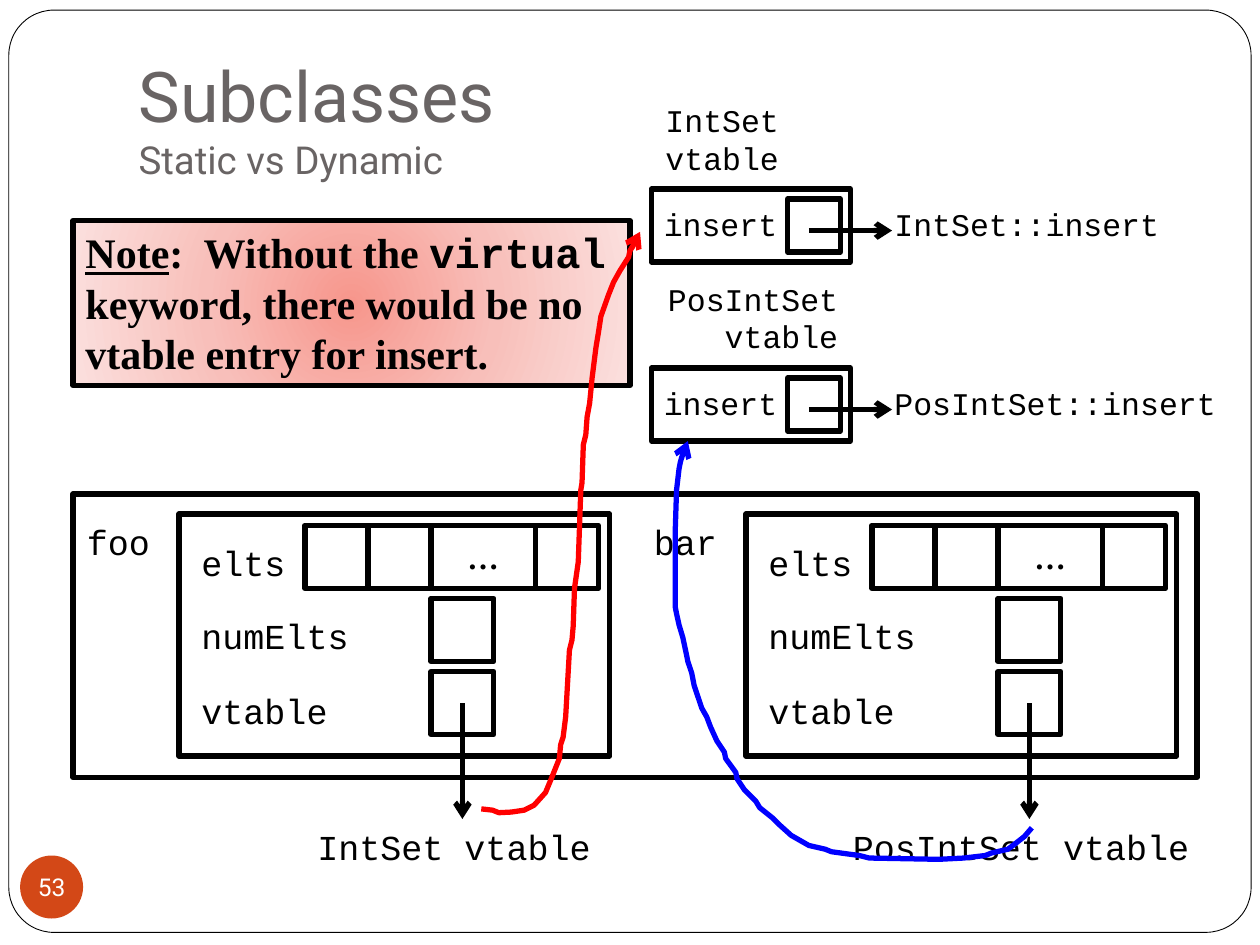
import pptx
import pptx.util
import pptx.dml.color
import pptx.enum.shapes
import pptx.enum.text
import pptx.oxml
import pptx.oxml.ns
import lxml.etree

Inches = pptx.util.Inches
KIND = pptx.enum.shapes.MSO_SHAPE
ALIGN = pptx.enum.text.PP_ALIGN
ANCHOR = pptx.enum.text.MSO_ANCHOR
SIZE = pptx.enum.text.MSO_AUTO_SIZE
qn = pptx.oxml.ns.qn
MONO, SERIF, SANS = "Courier New", "Times New Roman", "Roboto"

# object: name, left shift, table label, label left, label width
OBJECTS = [("foo", 0, "IntSet vtable", 2.42, 2.42),
           ("bar", 4.5, "PosIntSet vtable", 6.67, 2.92)]
FIELDS = [("elts", 4.25, 0.88), ("numElts", 4.83, 1.38), ("vtable", 5.42, 1.21)]
# table: class, top, title width, title wraps, target width
TABLES = [("IntSet", 1.5, 1.11, False, 2.42),
          ("PosIntSet", 2.92, 1.58, True, 2.75)]
NOTE = [("Note", SERIF), (":  Without the ", SERIF), ("virtual", MONO),
        (" keyword, there would be no vtable entry for insert.", SERIF)]
STOPS = [(0, "F7968C"), (50, "F8BFBA"), (100, "FBE0DE")]
CURVES = [
    ("FF0000", [
        (3.82, 6.42), (3.91, 6.43), (3.96, 6.45), (4.06, 6.445), (4.16, 6.43),
        (4.24, 6.39), (4.33, 6.29), (4.38, 6.17), (4.44, 6.02), (4.45, 5.91),
        (4.47, 5.85), (4.49, 5.69), (4.52, 5.16), (4.54, 5.08), (4.55, 4.97),
        (4.56, 4.67), (4.59, 4.46), (4.61, 3.89), (4.62, 3.83), (4.63, 3.53),
        (4.65, 3.45), (4.66, 3.31), (4.68, 3.2), (4.7, 3), (4.72, 2.84),
        (4.73, 2.76), (4.75, 2.64), (4.77, 2.51), (4.83, 2.34), (4.87, 2.24),
        (4.92, 2.15), (4.99, 2.04), (5, 1.99), (5.06, 1.9), (5.08, 1.84)]),
    ("0000FF", [
        (8.19, 6.57), (8.13, 6.64), (8.04, 6.71), (8, 6.74), (7.87, 6.77),
        (7.82, 6.79), (7.65, 6.81), (7.45, 6.82), (6.9, 6.81), (6.82, 6.79),
        (6.6, 6.76), (6.55, 6.74), (6.42, 6.71), (6.28, 6.63), (6.18, 6.54),
        (6.13, 6.49), (6.03, 6.41), (6, 6.36), (5.91, 6.27), (5.85, 6.18),
        (5.84, 6.13), (5.76, 6.02), (5.75, 5.97), (5.69, 5.88), (5.64, 5.77),
        (5.61, 5.69), (5.57, 5.62), (5.51, 5.44), (5.49, 5.34), (5.46, 5.25),
        (5.45, 5.2), (5.42, 5.06), (5.39, 4.96), (5.37, 4.87), (5.36, 4.82),
        (5.36, 4.2), (5.37, 3.89), (5.39, 3.72), (5.4, 3.67), (5.43, 3.56),
        (5.46, 3.5)]),
]

deck = pptx.Presentation()
deck.slide_width, deck.slide_height = Inches(10), Inches(7.5)
slide = deck.slides.add_slide(deck.slide_layouts[5])
shapes = slide.shapes


def rgb(code):
    """Turn a hex string into a colour."""
    return pptx.dml.color.RGBColor.from_string(code)


def style(run, size, font=MONO, color="000000", bold=None):
    """Format one run."""
    run.font.size = pptx.util.Pt(size)
    run.font.name = font
    run.font.color.rgb = rgb(color)
    run.font.bold = bold


def box(x, y, w, h, kind=KIND.RECTANGLE, fill=None, line="000000", width=3):
    """Add a preset shape."""
    shape = shapes.add_shape(kind, *map(Inches, (x, y, w, h)))
    shape.shadow.inherit = False
    if fill:
        shape.fill.solid()
        shape.fill.fore_color.rgb = rgb(fill)
    else:
        shape.fill.background()
    if line:
        shape.line.color.rgb = rgb(line)
        shape.line.width = pptx.util.Pt(width)
    else:
        shape.line.fill.background()
    return shape


def fill_text(shape, text, size, font, color, bold=None):
    """Put one centred line in a shape."""
    frame = shape.text_frame
    frame.text = text
    frame.vertical_anchor = ANCHOR.MIDDLE
    frame.paragraphs[0].alignment = ALIGN.CENTER
    style(frame.paragraphs[0].runs[0], size, font, color, bold)


def label(text, x, y, w, h=0.44, size=20, wrap=False, align=ALIGN.LEFT):
    """Add a code label."""
    frame = shapes.add_textbox(*map(Inches, (x, y, w, h))).text_frame
    frame.word_wrap = wrap
    frame.auto_size = SIZE.SHAPE_TO_FIT_TEXT
    frame.text = text
    for para in frame.paragraphs:
        para.alignment = align
        style(para.runs[0], size)


def add_head(shape, color="000000"):
    """Give a line its colour, width and arrowhead."""
    shape.line.color.rgb = rgb(color)
    shape.line.width = pptx.util.Pt(3)
    lxml.etree.SubElement(shape.line._get_or_add_ln(), qn("a:tailEnd"), type="arrow")


def arrow(x1, y1, x2, y2):
    """Add a straight arrow."""
    line = shapes.add_connector(pptx.enum.shapes.MSO_CONNECTOR.STRAIGHT,
                                *map(Inches, (x1, y1, x2, y2)))
    add_head(line)
    lxml.etree.SubElement(line._element.spPr, qn("a:effectLst"))


def draw_object(name, dx, table, left, width):
    """Draw an object with its fields and its table pointer."""
    box(1.42 + dx, 4.08, 3.42, 1.92)
    for y in (5.33, 4.75):
        box(3.42 + dx, y, 0.5, 0.5)
    for x in (2.42, 2.92, 4.25):
        box(x + dx, 4.17, 0.5, 0.5)
    dots = box(3.42 + dx, 4.17, 0.83, 0.5)
    fill_text(dots, "…", 18, SERIF, "000000", True)
    for field, y, w in FIELDS:
        label(field, 1.5 + dx, y, w)
    label(name, 0.58 + dx, 4.08, 0.71, align=ALIGN.RIGHT)
    label(table, left, 6.5, width, wrap=True)
    arrow(3.67 + dx, 5.58, 3.67 + dx, 6.5)


def draw_table(name, y, width, wrap, reach):
    """Draw a class table with its insert entry."""
    box(5.17, y, 1.58, 0.58)
    box(6.25, y + 0.08, 0.42, 0.42)
    label("insert", 5.17, y + 0.08, 1.17, 0.4, 18, True)
    label(name + "::insert", 7, y + 0.08, reach, 0.4, 18, True)
    arrow(6.42, y + 0.33, 7.08, y + 0.33)
    label(name + "\nvtable", 5.17, y - 0.75, width, 0.71, 18, wrap, ALIGN.RIGHT)


def draw_note():
    """Draw the note with its radial fill."""
    note = box(0.58, 1.75, 4.42, 1.31)
    stops = "".join(f'<a:gs pos="{pos * 1000}"><a:srgbClr val="{code}"/></a:gs>'
                    for pos, code in STOPS)
    grad = pptx.oxml.parse_xml(
        f'<a:gradFill {pptx.oxml.ns.nsdecls("a")}><a:gsLst>{stops}</a:gsLst>'
        '<a:path path="circle"><a:fillToRect l="50000" t="50000" r="50000" b="50000"/>'
        '</a:path></a:gradFill>')
    props = note._element.spPr
    props.replace(props.find(qn("a:noFill")), grad)
    frame = note.text_frame
    frame.word_wrap = True
    frame.auto_size = SIZE.SHAPE_TO_FIT_TEXT
    frame.vertical_anchor = ANCHOR.TOP
    para = frame.paragraphs[0]
    para.alignment = ALIGN.LEFT
    for text, font in NOTE:
        run = para.add_run()
        run.text = text
        style(run, 24, font, bold=True)
    para.runs[0].font.underline = True


def draw_title():
    """Place and format the title."""
    title = shapes.title
    title.left, title.top, title.width, title.height = map(Inches, (1, 0.3, 8.5, 1.25))
    frame = title.text_frame
    frame.text = "Subclasses\vStatic vs Dynamic"
    frame.vertical_anchor = ANCHOR.BOTTOM
    frame.auto_size = SIZE.NONE
    frame.margin_bottom = Inches(0.1)
    para = frame.paragraphs[0]
    para.alignment = ALIGN.LEFT
    for run, size in zip(para.runs, (40, 22)):
        style(run, size, SANS, "696464")
    lxml.etree.SubElement(para._p.find(qn("a:br")), qn("a:rPr"), sz="4000")


border = box(0.07, 0.08, 9.86, 7.32, KIND.ROUNDED_RECTANGLE, "FFFFFF", width=0.5)
border.adjustments[0] = 0.049
number = box(0.16, 6.79, 0.5, 0.5, KIND.OVAL, "D34817", None)
fill_text(number, "53", 14, SANS, "FFFFFF")
inner = number.text_frame
inner.margin_left = inner.margin_right = inner.margin_top = inner.margin_bottom = 0
inner.word_wrap = False
shapes._spTree.append(shapes.title._element)
draw_title()
for item in OBJECTS:
    draw_object(*item)
box(0.58, 3.92, 8.92, 2.25)
for item in TABLES:
    draw_table(*item)
draw_note()
for color, points in CURVES:
    (x, y), *rest = [(Inches(a), Inches(b)) for a, b in points]
    pen = shapes.build_freeform(x, y)
    pen.add_line_segments(rest, close=False)
    curve = pen.convert_to_shape()
    curve.shadow.inherit = False
    curve.fill.background()
    add_head(curve, color)

deck.save("out.pptx")
